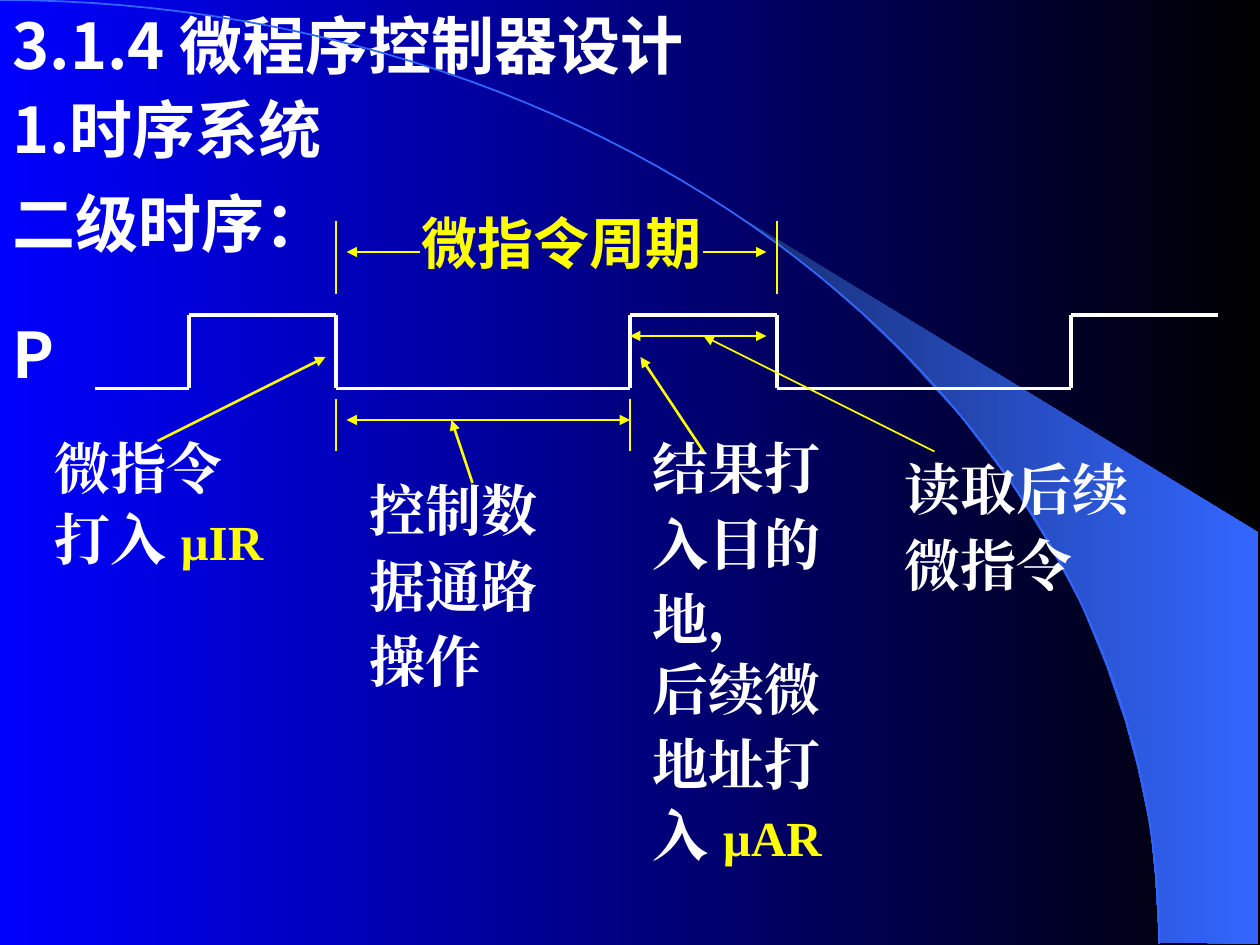
import itertools
import math

import pptx
import pptx.dml.color
import pptx.enum.shapes
import pptx.enum.text
import pptx.oxml
import pptx.oxml.ns
import pptx.util

COLOURS = {"white": "FFFFFF", "yellow": "FFFF00", "blue": "0000FF", "black": "000000",
           "arc": "3366FF", "shade": "182F76"}
SANS, SERIF = "Noto Sans CJK SC", "Times New Roman"
GRID = 2.54 / 12
WIDTH, HEIGHT = 120, 90

TITLE = ((0, 0, 86, 8.4), [["3.1.4 微程序控制器设计"]], SANS, 36, "white", 1)
LABELS = [
    ((0, 8, 48, 8.4), [["1.时序系统"]], SANS, 36, "white", 1),
    ((0, 32, 14, 5.5), [["P"]], SANS, 36, "white", 0.6),
    ((39, 21, 32, 10.2), [["微指令周期"]], SANS, 32, "yellow", 0.7),
    ((0, 19, 46, 6.2), [["二级时序："]], SANS, 36, "white", 0.7),
    ((4, 43, 31, 11.9), [["微指令"], ["打入 ", "µIR"]], SERIF, 32, "white", 0.6),
    ((34, 47, 31, 19.4), [["控制数"], ["据通路"], ["操作"]], SERIF, 32, "white", 0.6),
    ((61, 43, 31, 19.4), [["结果打"], ["入目的"], ["地，"]], SERIF, 32, "white", 0.6),
    ((85, 45, 31, 12.2), [["读取后续"], ["微指令"]], SERIF, 32, "white", 0.6),
    ((61, 64, 31, 19), [["后续微"], ["地址打"], ["入 ", "µAR"]], SERIF, 32, "white", 0.6),
]
LOW, HIGH = 37, 30
WAVE = [(9, LOW), (18, LOW), (18, HIGH), (32, HIGH), (32, LOW), (60, LOW), (60, HIGH),
        (74, HIGH), (74, LOW), (102, LOW), (102, HIGH), (116, HIGH)]
LIMITS = [(32, 21, 28), (74, 21, 28), (32, 38, 43), (60, 38, 43)]
ARROWS = [
    ((67, 24), (73, 24), 1, ["tailEnd"]),
    ((33, 24), (40, 24), 1, ["headEnd"]),
    ((15, 42), (31, 34), 1.5, ["tailEnd"]),
    ((33, 40), (60, 40), 1, ["headEnd", "tailEnd"]),
    ((61, 34), (67, 43), 1.5, ["headEnd"]),
    ((60, 32), (73, 32), 1, ["headEnd", "tailEnd"]),
    ((67, 32), (89, 43), 1, ["headEnd"]),
    ((45, 46), (43, 40), 1.5, ["tailEnd"]),
]
WEDGE = [(9.2, 7.48), (9.99, 7.49), (9.99, 4.23), (5.89, 1.73), (6.24, 1.99), (6.53, 2.22),
         (6.85, 2.5), (7.16, 2.8), (7.62, 3.3), (8.03, 3.84), (8.32, 4.31), (8.58, 4.79),
         (8.78, 5.28), (8.93, 5.72), (9.03, 6.09), (9.13, 6.56), (9.17, 6.96)]
ARC_RADII, ARC_STEPS = (110.4, 89.9), 60


def grid(*values):
    """Turn grid steps into lengths."""
    return [pptx.util.Cm(value * GRID) for value in values]


def rgb(name):
    """Return a named colour."""
    return pptx.dml.color.RGBColor.from_string(COLOURS[name])


def set_gradient(fill, start, end):
    """Fill from left to right with two colours."""
    fill.gradient()
    fill.gradient_angle = 0
    for stop, name, position in zip(fill.gradient_stops, (start, end), (0, 1)):
        stop.color.rgb = rgb(name)
        stop.position = position


def add_outline(page, points, close):
    """Draw a freeform through grid points."""
    places = [grid(*point) for point in points]
    builder = page.shapes.build_freeform(*places[0], scale=1.0)
    builder.add_line_segments(places[1:], close=close)
    outline = builder.convert_to_shape()
    outline.shadow.inherit = False
    return outline


def add_line(page, start, end, colour, weight, ends=()):
    """Draw a straight line with optional arrowheads."""
    line = page.shapes.add_connector(
        pptx.enum.shapes.MSO_CONNECTOR.STRAIGHT, *grid(*start, *end))
    line.line.color.rgb = rgb(colour)
    line.line.width = pptx.util.Pt(weight)
    for tag in ends:
        head = pptx.oxml.parse_xml(
            f'<a:{tag} {pptx.oxml.ns.nsdecls("a")} type="triangle"/>')
        line.line._get_or_add_ln().append(head)
    effects = pptx.oxml.parse_xml(f'<a:effectLst {pptx.oxml.ns.nsdecls("a")}/>')
    line._element.spPr.append(effects)


def format_span(span, font, size, colour):
    """Set the look of a run, for Latin and Chinese letters alike."""
    span.font.name, span.font.bold = font, True
    span.font.size = pptx.util.Pt(size)
    span.font.color.rgb = rgb(colour)
    east = pptx.oxml.parse_xml(
        f'<a:ea {pptx.oxml.ns.nsdecls("a")} typeface="{font}"/>')
    span.font._element.find(pptx.oxml.ns.qn("a:latin")).addnext(east)


def fill_box(box, place, lines, font, size, colour, spacing):
    """Place a box and write its lines; a second span is a register name."""
    box.left, box.top, box.width, box.height = grid(*place)
    frame = box.text_frame
    frame.text = "\n".join(spans[0] for spans in lines)
    frame.word_wrap = True
    frame.auto_size = pptx.enum.text.MSO_AUTO_SIZE.NONE
    frame.vertical_anchor = pptx.enum.text.MSO_ANCHOR.TOP
    for para, spans in zip(frame.paragraphs, lines):
        para.alignment = pptx.enum.text.PP_ALIGN.LEFT
        para.line_spacing = spacing
        para.space_before = pptx.util.Pt(size * 0.625 if len(spans) == 1 else 17.5)
        format_span(para.runs[0], font, size, colour)
        for register in spans[1:]:
            span = para.add_run()
            span.text = register
            format_span(span, font, 28, "yellow")


def draw_backdrop(page):
    """Draw the gradient, the wedge and the arc."""
    set_gradient(page.background.fill, "blue", "black")
    wedge = add_outline(page, [(12 * x, 12 * y) for x, y in WEDGE], True)
    set_gradient(wedge.fill, "shade", "arc")
    wedge.line.fill.background()
    across, down = ARC_RADII
    angles = [math.pi / 2 * step / ARC_STEPS for step in range(ARC_STEPS + 1)]
    arc = add_outline(page, [(across * math.sin(angle), down * (1 - math.cos(angle)))
                             for angle in angles], False)
    arc.fill.background()
    arc.line.color.rgb = rgb("arc")
    arc.line.width = pptx.util.Pt(1)


def main():
    """Build the timing slide."""
    deck = pptx.Presentation()
    deck.slide_width, deck.slide_height = grid(WIDTH, HEIGHT)
    page = deck.slides.add_slide(deck.slide_layouts.get_by_name("Title Only"))
    draw_backdrop(page)
    fill_box(page.shapes.title, *TITLE)
    for place, *content in LABELS:
        fill_box(page.shapes.add_textbox(*grid(*place)), place, *content)
    for start, end in itertools.pairwise(WAVE):
        add_line(page, start, end, "white", 2.25)
    for x, top, bottom in LIMITS:
        add_line(page, (x, top), (x, bottom), "yellow", 1.5)
    for start, end, weight, ends in ARROWS:
        add_line(page, start, end, "yellow", weight, ends)
    deck.save("out.pptx")


if __name__ == "__main__":
    main()
